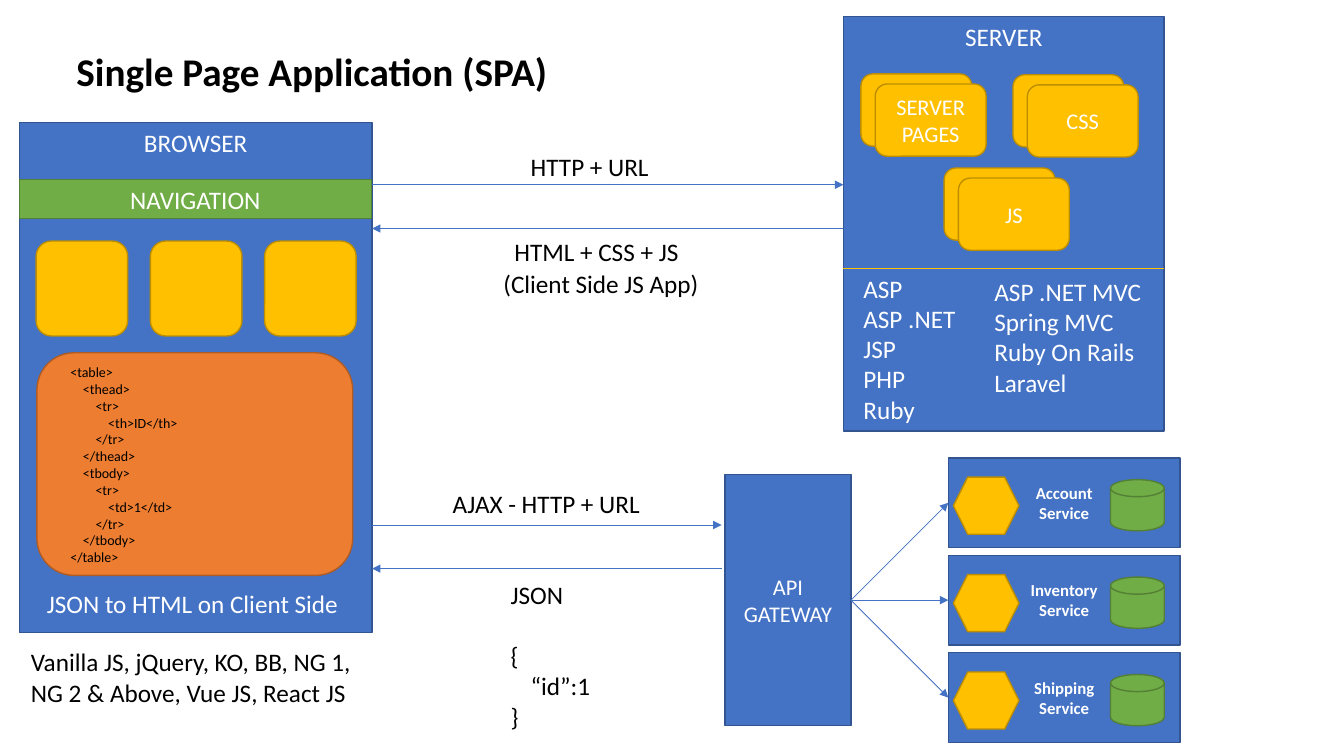
from dataclasses import dataclass

from lxml import etree
from pptx import Presentation
from pptx.dml.color import RGBColor
from pptx.enum.shapes import MSO_CONNECTOR, MSO_SHAPE
from pptx.enum.text import MSO_ANCHOR, MSO_AUTO_SIZE, PP_ALIGN
from pptx.oxml.ns import qn
from pptx.util import Inches, Pt

RECT, ROUND = MSO_SHAPE.RECTANGLE, MSO_SHAPE.ROUNDED_RECTANGLE
HEX, DISK = MSO_SHAPE.HEXAGON, MSO_SHAPE.FLOWCHART_MAGNETIC_DISK
STRAIGHT = MSO_CONNECTOR.STRAIGHT
TOP, MIDDLE = MSO_ANCHOR.TOP, MSO_ANCHOR.MIDDLE
LEFT, CENTER = PP_ALIGN.LEFT, PP_ALIGN.CENTER
NO_FIT = MSO_AUTO_SIZE.NONE
RIGHT_SIDE, LEFT_SIDE = 3, 1


@dataclass(frozen=True)
class Theme:
    font: str = "Calibri"
    white: str = "FFFFFF"
    black: str = "000000"
    blue: tuple = ("4472C4", "325491")  # fill and outline
    gold: tuple = ("FFC000", "BD8E00")
    green: tuple = ("70AD47", "538035")
    orange: tuple = ("ED7D31", "AF5C24")
    head: int = 28
    body: int = 18
    small: int = 16
    tiny: int = 12
    code: int = 10


THEME = Theme()
COLS, ROWS = 160, 90  # grid over the whole slide
WIDTH, HEIGHT = Inches(13.333), Inches(7.5)

SERVER_X, BROWSER_X, BROWSER_END = 100.4, 2.3, 44.3
SERVER_W = 38.2
CODE = [
    (0, "<table>"), (1, "<thead>"), (2, "<tr>"), (3, "<th>ID</th>"),
    (2, "</tr>"), (1, "</thead>"), (1, "<tbody>"), (2, "<tr>"),
    (3, "<td>1</td>"), (2, "</tr>"), (1, "</tbody>"), (0, "</table>"),
]


def across(cols):
    return round(WIDTH * cols / COLS)


def down(rows):
    return round(HEIGHT * rows / ROWS)


def place(x, y, w, h):
    return across(x), down(y), across(w), down(h)


def write(frame, lines, size, color, align=LEFT, bold=False, indent=0):
    """Fill a frame; a line is a string or a (depth, string) pair."""
    for i, line in enumerate(lines):
        depth, words = line if isinstance(line, tuple) else (0, line)
        para = frame.paragraphs[0] if i == 0 else frame.add_paragraph()
        para.text = words
        para.alignment = align
        font = para.font
        font.name, font.size, font.bold = THEME.font, Pt(size), bold
        font.color.rgb = RGBColor.from_string(color)
        if depth:
            para._p.get_or_add_pPr().set("marL", str(Pt(depth * indent)))


def box(slide, kind, at, tone, lines=(), size=THEME.body, anchor=MIDDLE,
        bold=False):
    shape = slide.shapes.add_shape(kind, *place(*at))
    shape.shadow.inherit = False
    fill, edge = tone
    shape.fill.solid()
    shape.fill.fore_color.rgb = RGBColor.from_string(fill)
    shape.line.color.rgb = RGBColor.from_string(edge)
    shape.line.width = Pt(1)
    shape.text_frame.vertical_anchor = anchor
    write(shape.text_frame, lines, size, THEME.white, CENTER, bold)
    return shape


def label(slide, at, lines, color=THEME.black, size=THEME.body, align=LEFT,
          indent=0):
    frame = slide.shapes.add_textbox(*place(*at)).text_frame
    frame.word_wrap = len(lines) > 1
    write(frame, lines, size, color, align, indent=indent)
    return frame


def link(slide, start, end, color=THEME.blue[0], arrow=True):
    line = slide.shapes.add_connector(
        STRAIGHT, across(start[0]), down(start[1]), across(end[0]), down(end[1]))
    line.line.color.rgb = RGBColor.from_string(color)
    line.line.width = Pt(0.5)
    if arrow:
        etree.SubElement(line.line._get_or_add_ln(), qn("a:tailEnd"), type="triangle")
    etree.SubElement(line._element.spPr, qn("a:effectLst"))
    return line


def stack(slide, x, y, name):
    """Two offset cards, the front one named."""
    box(slide, ROUND, (x, y, 13.2, 8.6), THEME.gold)
    box(slide, ROUND, (x + 1.7, y + 1.2, 13.2, 8.6), THEME.gold, [name], THEME.small)


def service(slide, x, y, name):
    card = box(slide, RECT, (x, y, 27.6, 10.7), THEME.blue, [name, "Service"],
               THEME.tiny, bold=True)
    box(slide, HEX, (x + 0.6, y + 2.3, 7.8, 6.8), THEME.gold)
    box(slide, DISK, (x + 19.3, y + 2.6, 6.4, 6.1), THEME.green)
    return card


def heading(slide, at, words):
    title = slide.shapes.title
    title.left, title.top, title.width, title.height = place(*at)
    frame = title.text_frame
    frame.auto_size, frame.word_wrap = NO_FIT, True
    frame.vertical_anchor = TOP
    write(frame, [words], THEME.head, THEME.black, bold=True)


def server(slide):
    box(slide, RECT, (SERVER_X, 2, SERVER_W, 49.3), THEME.blue, ["SERVER"], anchor=TOP)
    label(slide, (101.6, 31.9, 14.5, 19.4),
          ["ASP", "ASP .NET", "JSP", "PHP", "Ruby"], THEME.white)
    label(slide, (117.2, 32.3, 21.4, 15.7),
          ["ASP .NET MVC", "Spring MVC", "Ruby On Rails", "Laravel"], THEME.white)
    for x, y, name in ((102.5, 8.8, "SERVER PAGES"), (120.6, 8.9, "CSS"),
                       (112.4, 20, "JS")):
        stack(slide, x, y, name)
    link(slide, (SERVER_X, 32), (SERVER_X + SERVER_W, 32), THEME.gold[0], arrow=False)


def browser(slide):
    box(slide, RECT, (BROWSER_X, 14.6, 42, 60.7), THEME.blue, ["BROWSER"], anchor=TOP)
    box(slide, RECT, (BROWSER_X, 21.4, 41.9, 4.6), THEME.green, ["NAVIGATION"])
    for i in range(3):
        box(slide, ROUND, (4.3 + 13.6 * i, 28.7, 10.9, 11.3), THEME.gold)
    box(slide, ROUND, (4.4, 42, 37.6, 26.5), THEME.orange)
    label(slide, (7.2, 42.7, 29.3, 25.4), CODE, size=THEME.code, indent=9)
    label(slide, (4.4, 69.5, 37.6, 4.8), ["JSON to HTML on Client Side"], THEME.white)
    label(slide, (2.5, 76.4, 41.2, 8.5),
          ["Vanilla JS, jQuery, KO, BB, NG 1,", "NG 2 & Above, Vue JS, React JS"])


def traffic(slide):
    # Page load
    link(slide, (BROWSER_END, 22), (SERVER_X, 22))
    link(slide, (SERVER_X, 27.2), (BROWSER_END, 27.2))
    label(slide, (62, 17.4, 16.7, 4.8), ["HTTP + URL"])
    label(slide, (59.9, 27.5, 22.2, 4.8), ["HTML + CSS + JS"], align=CENTER)
    label(slide, (56.3, 31.3, 30.5, 4.8), ["(Client Side JS App)"], align=CENTER)
    # Data calls
    link(slide, (BROWSER_END, 62.5), (85.9, 62.5))
    link(slide, (85.9, 67.7), (BROWSER_END, 67.7))
    label(slide, (52.7, 57.6, 25, 4.8), ["AJAX - HTTP + URL"])
    reply = label(slide, (59.6, 68.4, 12, 19.4), ["JSON", "{", (1, "“id”:1"), "}"],
                  indent=14.4)
    reply.paragraphs[1].space_before = Pt(22)


def gateway(slide):
    hub = box(slide, RECT, (86.3, 56.5, 15, 29.9), THEME.blue, ["API GATEWAY"],
              THEME.small)
    for i, name in enumerate(("Account", "Inventory", "Shipping")):
        card = service(slide, 112.9, 54.5 + 11.6 * i, name)
        ray = link(slide, (101.3, 71.4), (112.9, 59.8 + 11.6 * i))
        ray.begin_connect(hub, RIGHT_SIDE)
        ray.end_connect(card, LEFT_SIDE)


def main():
    deck = Presentation()
    deck.slide_width, deck.slide_height = WIDTH, HEIGHT
    slide = deck.slides.add_slide(deck.slide_layouts[5])
    heading(slide, (7.9, 5, 61.1, 6.8), "Single Page Application (SPA)")
    server(slide)
    browser(slide)
    traffic(slide)
    gateway(slide)
    deck.save("out.pptx")


if __name__ == "__main__":
    main()
